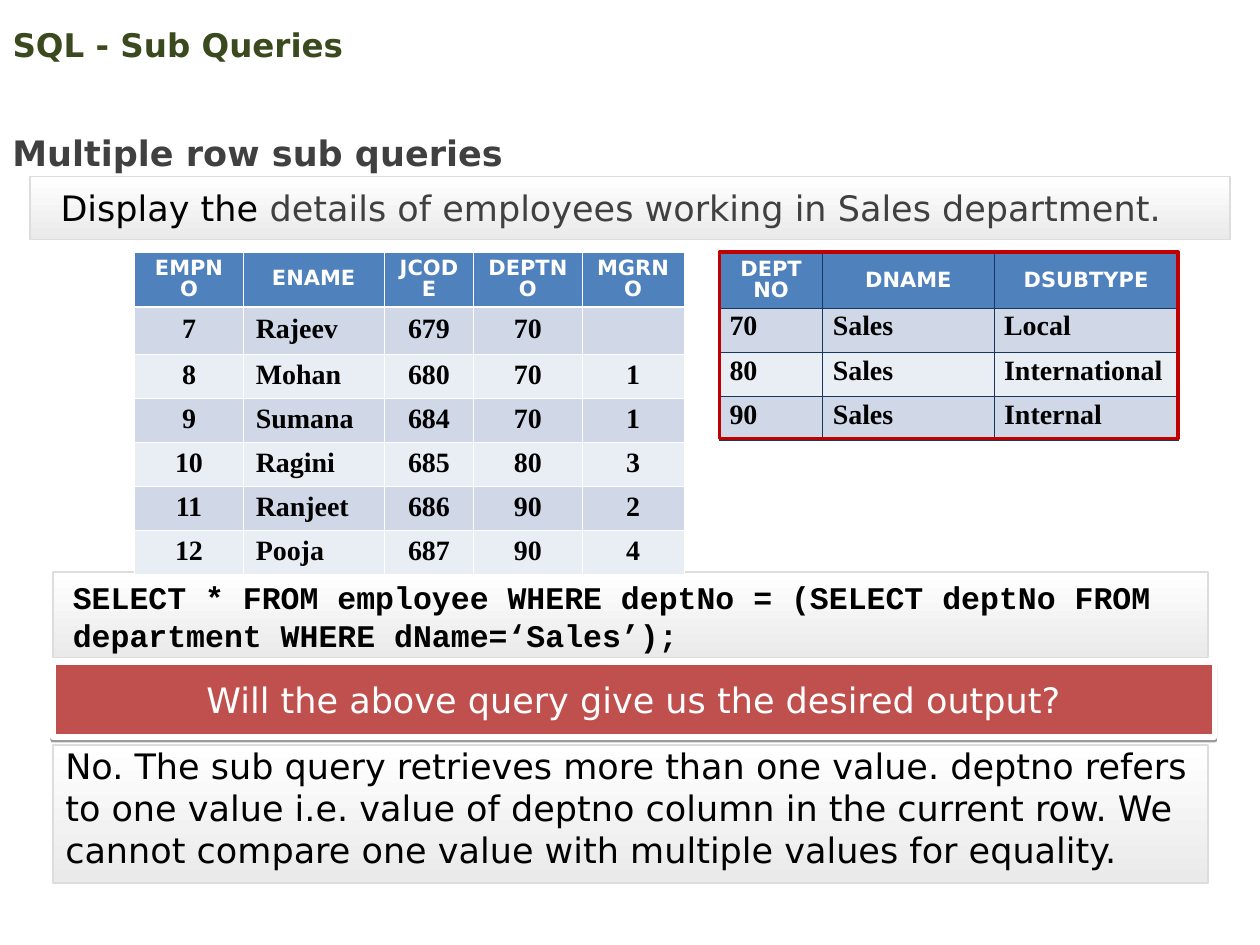
import pptx
import pptx.util
import pptx.dml.color
import pptx.enum.shapes
import pptx.enum.text
import pptx.oxml
import pptx.oxml.ns

Pt = pptx.util.Pt
RGB = pptx.dml.color.RGBColor
ANCHOR = pptx.enum.text.MSO_ANCHOR
ALIGN = pptx.enum.text.PP_ALIGN
RECTANGLE = pptx.enum.shapes.MSO_SHAPE.RECTANGLE

WHITE, BLACK = RGB(255, 255, 255), RGB(0, 0, 0)
OLIVE = RGB(0x3B, 0x4A, 0x1E)
GREY = RGB(0x40, 0x40, 0x40)
PALE = RGB(0xEA, 0xEA, 0xEA)
EDGE = RGB(0xDD, 0xDD, 0xDD)
RED = RGB(0xC0, 0x50, 0x4D)
CRIMSON = RGB(0xC0, 0, 0)
BLUE = RGB(0x4F, 0x81, 0xBD)
NAVY = RGB(0x17, 0x37, 0x5E)
BANDS = [RGB(0xD0, 0xD8, 0xE8), RGB(0xE9, 0xED, 0xF4)]

SANS, SERIF, MONO = "DejaVu Sans", "Times New Roman", "Courier New"

TITLE = "SQL - Sub Queries"
SUBTITLE = "Multiple row sub queries"
TASK = [("Display the ", BLACK), ("details of employees working in Sales department.", GREY)]
QUERY = "SELECT * FROM employee WHERE deptNo = (SELECT deptNo FROM department WHERE dName=‘Sales’);"
QUESTION = "Will the above query give us the desired output?"
ANSWER = ("No. The sub query retrieves more than one value. deptno refers to one value i.e. "
          "value of deptno column in the current row. We cannot compare one value with "
          "multiple values for equality.")
EMPLOYEES = [
    ("EMPNO", "ENAME", "JCODE", "DEPTNO", "MGRNO"),
    ("7", "Rajeev", "679", "70", ""),
    ("8", "Mohan", "680", "70", "1"),
    ("9", "Sumana", "684", "70", "1"),
    ("10", "Ragini", "685", "80", "3"),
    ("11", "Ranjeet", "686", "90", "2"),
    ("12", "Pooja", "687", "90", "4"),
]
DEPARTMENTS = [
    ("DEPTNO", "DNAME", "DSUBTYPE"),
    ("70", "Sales", "Local"),
    ("80", "Sales", "International"),
    ("90", "Sales", "Internal"),
]

HEADER_ROW, BODY_ROW = 5.33, 4.67
PANEL_LEFT, PANEL_WIDTH = 4.2, 91.7
DEPARTMENT_LEFT, DEPARTMENT_COLUMNS = 57.1, (8.2, 13.6, 14.6)

deck = pptx.Presentation()
deck.slide_width, deck.slide_height = pptx.util.Inches(10), pptx.util.Inches(7.5)
slide = deck.slides.add_slide(deck.slide_layouts[5])


def across(percent):
    return round(deck.slide_width * percent / 100)


def down(percent):
    return round(deck.slide_height * percent / 100)


def area(left, top, width, height):
    return across(left), down(top), across(width), down(height)


def write(frame, text, size=20, font=SANS, color=BLACK, bold=False, align=ALIGN.LEFT,
          spacing=1.0, anchor=ANCHOR.TOP, inset=(0.1, 0.05)):
    frame.word_wrap = True
    frame.auto_size = pptx.enum.text.MSO_AUTO_SIZE.NONE
    frame.vertical_anchor = anchor
    frame.margin_left = frame.margin_right = pptx.util.Inches(inset[0])
    frame.margin_top = frame.margin_bottom = pptx.util.Inches(inset[1])
    fill_paragraph(frame.paragraphs[0], text, size, font, color, bold, align, spacing)


def fill_paragraph(paragraph, text, size, font, color, bold, align, spacing):
    paragraph.alignment, paragraph.line_spacing = align, spacing
    pieces = [(text, color)] if isinstance(text, str) else text
    for words, shade in pieces:
        if not words:
            paragraph._p.get_or_add_endParaRPr().set("sz", str(size * 100))
            continue
        run = paragraph.add_run()
        run.text = words
        run.font.size, run.font.name, run.font.bold = Pt(size), font, bold
        run.font.color.rgb = shade


def add_box(place, line, weight):
    box = slide.shapes.add_shape(RECTANGLE, *area(*place))
    box.shadow.inherit = False
    box.line.color.rgb, box.line.width = line, Pt(weight)
    return box


def add_panel(place):
    panel = add_box(place, EDGE, 1)
    panel.fill.gradient()
    panel.fill.gradient_angle = 270
    for stop, color in zip(panel.fill.gradient_stops, (WHITE, PALE)):
        stop.color.rgb = color
    return panel


def add_borders(cell, color, weights):
    for side, weight in zip("LRTB", weights):
        cell._tc.get_or_add_tcPr().append(pptx.oxml.parse_xml(
            f'<a:ln{side} {pptx.oxml.ns.nsdecls("a")} w="{Pt(weight)}"><a:solidFill>'
            f'<a:srgbClr val="{color}"/></a:solidFill></a:ln{side}>'))


def add_records(records, left, top, columns, border, header_rule, left_columns, anchor, margin):
    height = HEADER_ROW + BODY_ROW * (len(records) - 1)
    table = slide.shapes.add_table(len(records), len(columns),
                                   *area(left, top, sum(columns), height)).table
    for column, width in zip(table.columns, columns):
        column.width = across(width)
    for r, record in enumerate(records):
        table.rows[r].height = down(BODY_ROW if r else HEADER_ROW)
        for c, value in enumerate(record):
            cell = table.cell(r, c)
            cell.vertical_anchor = anchor if r else ANCHOR.MIDDLE
            cell.margin_left = cell.margin_right = pptx.util.Inches(margin if r else 0.1)
            cell.margin_top = cell.margin_bottom = pptx.util.Inches(0.05)
            add_borders(cell, border, (0.45, 0.45, header_rule if r == 1 else 0.45,
                                       header_rule if r == 0 else 0.45))
            cell.fill.solid()
            cell.fill.fore_color.rgb = BANDS[(r - 1) % 2] if r else BLUE
            size, font, color = (16, SERIF, BLACK) if r else (12, SANS, WHITE)
            align = ALIGN.LEFT if r and c in left_columns else ALIGN.CENTER
            fill_paragraph(cell.text_frame.paragraphs[0], value, size, font, color, True, align, 0.86)


title = slide.shapes.title
title.left, title.top, title.width, title.height = area(0, 1.87, 90, 5.73)
write(title.text_frame, TITLE, size=18.6, color=OLIVE, bold=True, anchor=ANCHOR.MIDDLE)

task = add_panel((2.4, 18.67, 95.2, 6.67))
write(task.text_frame, TASK, anchor=ANCHOR.MIDDLE, inset=(0.24, 0))

add_panel((PANEL_LEFT, 60.53, PANEL_WIDTH, 9.07))
query = slide.shapes.add_textbox(*area(4.8, 60.53, PANEL_WIDTH, 9.33))
write(query.text_frame, QUERY, size=18, font=MONO, bold=True)

add_records(EMPLOYEES, 10.7, 26.67, (8.6, 11.2, 7.1, 8.6, 8.1), WHITE, 1.47,
            {1}, ANCHOR.MIDDLE, 0.1)

subtitle = slide.shapes.add_textbox(*area(0, 11.07, 70.9, 8))
write(subtitle.text_frame, SUBTITLE, color=GREY, bold=True, spacing=1.5)

question = add_box((PANEL_LEFT, 70.13, 92.2, 7.87), WHITE, 3)
question.fill.solid()
question.fill.fore_color.rgb = RED
question._element.spPr.find(pptx.oxml.ns.qn("a:effectLst")).append(pptx.oxml.parse_xml(
    f'<a:outerShdw {pptx.oxml.ns.nsdecls("a")} blurRad="0" dist="{Pt(1.6)}" dir="5400000" '
    'rotWithShape="0"><a:srgbClr val="000000"><a:alpha val="38000"/></a:srgbClr></a:outerShdw>'))
write(question.text_frame, QUESTION, color=WHITE, align=ALIGN.CENTER, anchor=ANCHOR.MIDDLE)

answer = add_panel((PANEL_LEFT, 78.8, PANEL_WIDTH, 14.67))
write(answer.text_frame, ANSWER, inset=(0.1, 0))

add_records(DEPARTMENTS, DEPARTMENT_LEFT, 26.8, DEPARTMENT_COLUMNS, NAVY, 0.45,
            {0, 1, 2}, ANCHOR.TOP, 0.08)
highlight = add_box((DEPARTMENT_LEFT, 26.67, sum(DEPARTMENT_COLUMNS), 19.73), CRIMSON, 2)
highlight.fill.background()

deck.save("out.pptx")
